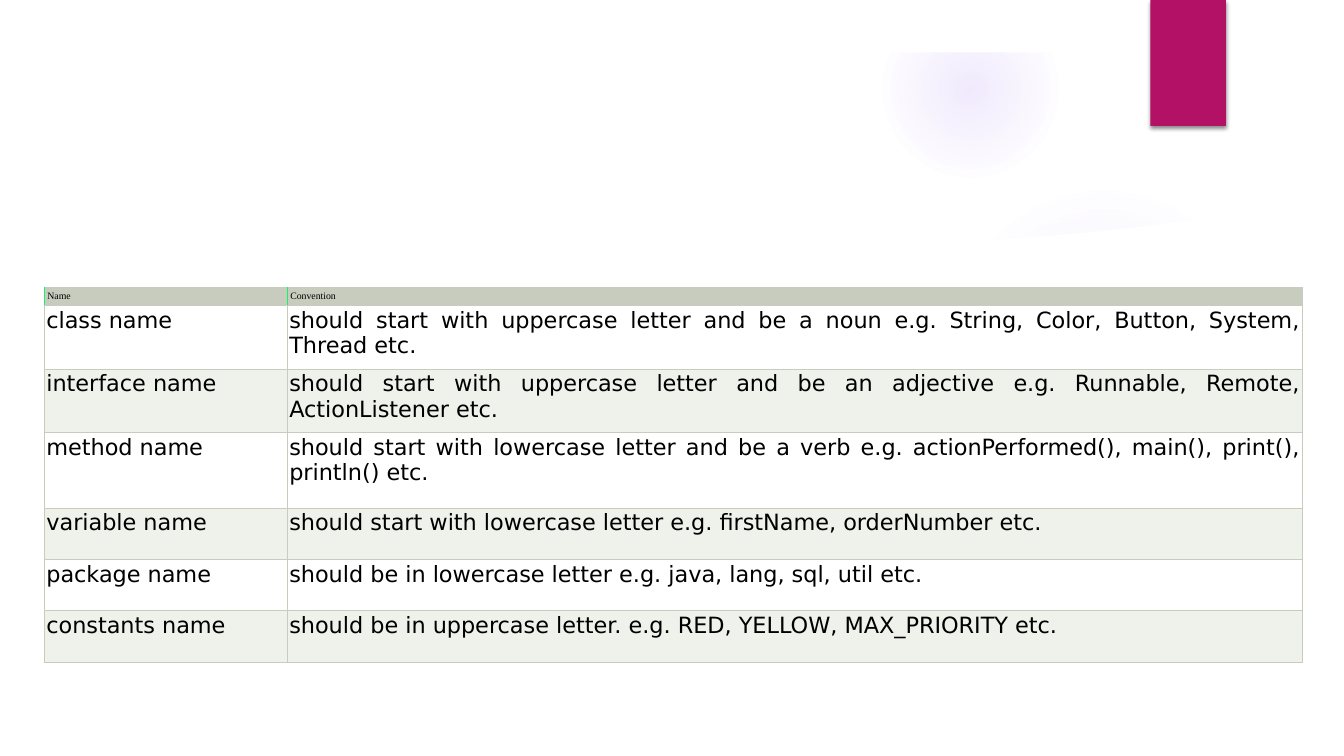
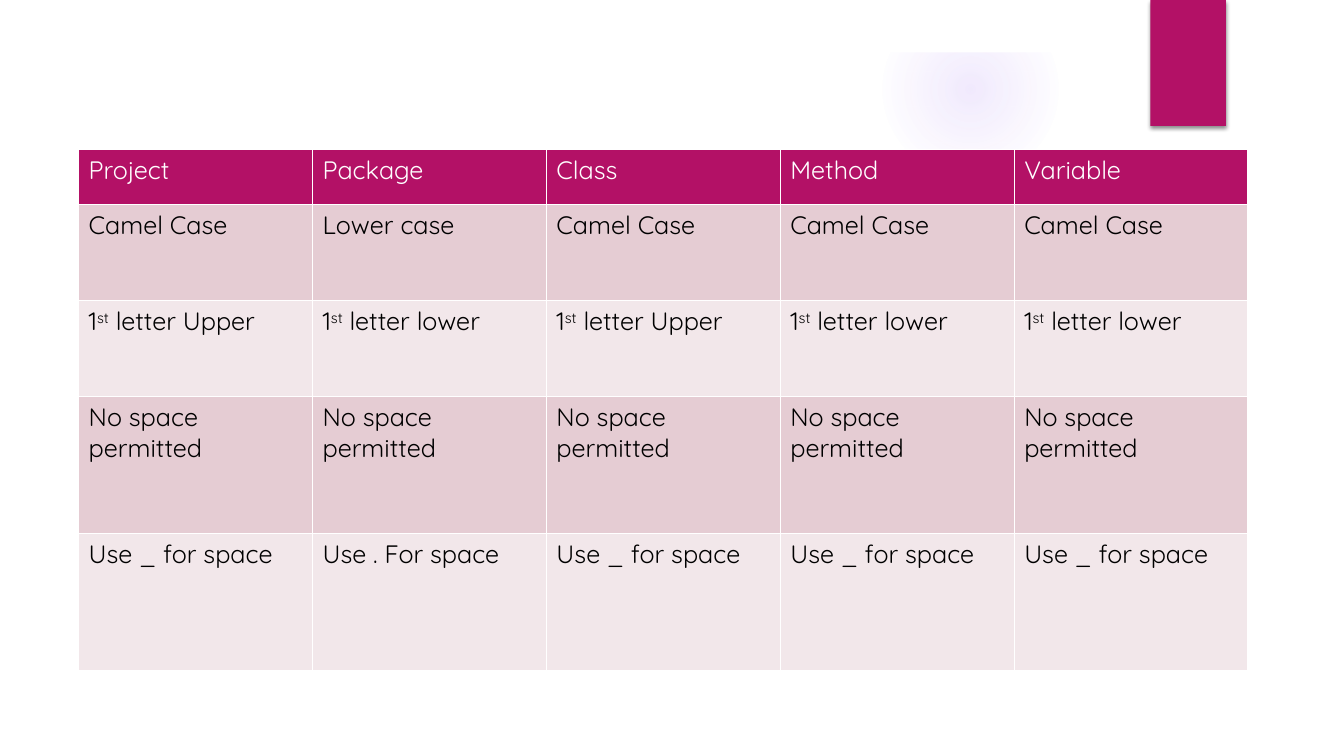
from lxml import etree
from pptx import Presentation
from pptx import util as u
from pptx.dml.color import RGBColor
from pptx.enum import shapes, text
from pptx.oxml import parse_xml
from pptx.oxml.ns import qn

WIDE, HIGH, EDGE = 13.33, 7.5, 0.52
WHITE, BLACK, PINK, GLOW = "FFFFFF", "000000", "B31166", "9B6BF2"
ROSE, BLUSH = "E5CCD3", "F2E7EA"
SAGE, MIST, GREEN = "C7CCBE", "EFF1EB", "18EF6B"
NS = 'xmlns:a="http://schemas.openxmlformats.org/drawingml/2006/main"'

WAVE = [(0.5, 2.04), (1.59, 2.18), (2.83, 2.3), (4.01, 2.38), (5.35, 2.45),
        (6.82, 2.48), (8.13, 2.46), (9.21, 2.42), (10.04, 2.37),
        (10.88, 2.3), (11.72, 2.2), (12.28, 2.13), (12.84, 2.04),
        (12.84, 7), (0.5, 7)]
VEIL = [(9.34, 2.5), (10.5, 2.45), (11.7, 2.32), (12.89, 2.14),
        (12.83, 1.66), (12.13, 1.88), (11.32, 2.09), (10.31, 2.29),
        (9.3, 2.43)]

RULES = [
    ("Name", "Convention"),
    ("class name", "should start with uppercase letter and be a noun e.g. "
     "String, Color, Button, System, Thread etc."),
    ("interface name", "should start with uppercase letter and be an "
     "adjective e.g. Runnable, Remote, ActionListener etc."),
    ("method name", "should start with lowercase letter and be a verb e.g. "
     "actionPerformed(), main(), print(), println() etc."),
    ("variable name", "should start with lowercase letter e.g. firstName, "
     "orderNumber etc."),
    ("package name", "should be in lowercase letter e.g. java, lang, sql, "
     "util etc."),
    ("constants name", "should be in uppercase letter. e.g. RED, YELLOW, "
     "MAX_PRIORITY etc."),
]
UPPER, LOWER = "1^st^ letter Upper", "1^st^ letter lower"
SPACE = "Use _ for space"
CASES = [
    ("Project", "Package", "Class", "Method", "Variable"),
    ("Camel Case", "Lower case", "Camel Case", "Camel Case", "Camel Case"),
    (UPPER, LOWER, UPPER, LOWER, LOWER),
    ("No space permitted",) * 5,
    (SPACE, "Use . For space", SPACE, SPACE, SPACE),
]


def paint(fill, tone):
    fill.solid()
    fill.fore_color.rgb = RGBColor.from_string(tone)


def plain(shape, tone):
    shape.shadow.inherit = False
    shape.line.fill.background()
    paint(shape.fill, tone)
    return shape


def preset(slide, kind, box, tone):
    return plain(slide.shapes.add_shape(kind, *map(u.Inches, box)), tone)


def outline(slide, points, tone):
    spots = [(u.Inches(x), u.Inches(y)) for x, y in points]
    pen = slide.shapes.build_freeform(*spots[0], scale=1.0)
    pen.add_line_segments(spots[1:], close=True)
    return plain(pen.convert_to_shape(), tone)


def glow(slide, left, top, size, stops):
    disc = preset(slide, shapes.MSO_SHAPE.OVAL, (left, top, size, size), GLOW)
    marks = "".join(
        f'<a:gs pos="{at * 1000}"><a:srgbClr val="{GLOW}">'
        f'<a:alpha val="{alpha * 1000}"/></a:srgbClr></a:gs>'
        for at, alpha in stops)
    grad = parse_xml(
        f'<a:gradFill {NS}><a:gsLst>{marks}</a:gsLst><a:path path="circle">'
        '<a:fillToRect l="50000" t="50000" r="50000" b="50000"/>'
        '</a:path></a:gradFill>')
    props = disc.element.spPr
    props.replace(props.find(qn("a:solidFill")), grad)
    return disc


def fade(shape, alpha):
    tone = shape.element.spPr.find(qn("a:solidFill"))[0]
    etree.SubElement(tone, qn("a:alpha")).set("val", str(alpha * 1000))
    return shape


def shade(shape):
    shape.element.spPr.find(qn("a:effectLst")).append(parse_xml(
        f'<a:outerShdw {NS} blurRad="{u.Pt(3)}" dist="{u.Pt(2)}" '
        f'dir="5400000" rotWithShape="0"><a:srgbClr val="{BLACK}">'
        '<a:alpha val="45000"/></a:srgbClr></a:outerShdw>'))
    return shape


def backdrop(slide, layout):
    kinds = shapes.MSO_SHAPE
    frame = preset(slide, kinds.FRAME, (0, 0, WIDE, HIGH), WHITE)
    frame.adjustments[0] = EDGE / HIGH
    parts = [
        glow(slide, 9.41, 1.83, 3.08, [(0, 7), (36, 6), (69, 0)]),
        glow(slide, 8.75, 0.01, 1.75, [(0, 14), (36, 7), (73, 0)]),
        fade(outline(slide, VEIL, WHITE), 20),
        outline(slide, WAVE, WHITE),
        frame,
        shade(preset(slide, kinds.RECTANGLE, (11.41, 0, 0.75, 1.25), PINK)),
    ]
    for part in parts:
        layout.element.cSld.spTree.append(part.element)


def border(cell, tone, width, left=None):
    props = cell._tc.get_or_add_tcPr()
    for side in "LRTB":
        hue = left if left and side == "L" else tone
        props.append(parse_xml(
            f'<a:ln{side} {NS} w="{u.Pt(width)}"><a:solidFill>'
            f'<a:srgbClr val="{hue}"/></a:solidFill></a:ln{side}>'))


def write(cell, words, face, size, tone, align):
    para = cell.text_frame.paragraphs[0]
    for spot, piece in enumerate(words.split("^")):
        run = para.add_run()
        run.text = piece
        if spot % 2:
            run._r.get_or_add_rPr().set("baseline", "30000")
    para.alignment = align
    para.font.name = face
    para.font.size = u.Pt(size)
    para.font.color.rgb = RGBColor.from_string(tone)


def inset(cell, gap):
    cell.margin_left = cell.margin_right = u.Inches(gap)
    cell.margin_top = cell.margin_bottom = u.Inches(gap)


def grid(slide, left, top, cols, rows, data, style):
    box = map(u.Inches, (left, top, sum(cols), sum(rows)))
    table = slide.shapes.add_table(len(rows), len(cols), *box).table
    table.first_row = table.horz_banding = False
    for col, width in zip(table.columns, cols):
        col.width = u.Inches(width)
    for row, height in zip(table.rows, rows):
        row.height = u.Inches(height)
    for r, line in enumerate(data):
        for c, words in enumerate(line):
            style(table.cell(r, c), r, words)


def rule(cell, row, words):
    head = row == 0
    border(cell, SAGE, 0.5, GREEN if head else None)
    paint(cell.fill, SAGE if head else (MIST, WHITE)[row % 2])
    inset(cell, 0.03 if head else 0.02)
    if head:
        write(cell, words, "Times New Roman", 7, BLACK, text.PP_ALIGN.LEFT)
    else:
        write(cell, words, "DejaVu Sans", 16, BLACK, text.PP_ALIGN.JUSTIFY)


def case(cell, row, words):
    head = row == 0
    border(cell, WHITE, 1)
    paint(cell.fill, PINK if head else (BLUSH, ROSE)[row % 2])
    write(cell, words, "Quicksand", 18, WHITE if head else BLACK,
          text.PP_ALIGN.LEFT)


def main():
    deck = Presentation()
    deck.slide_width, deck.slide_height = u.Inches(WIDE), u.Inches(HIGH)
    layout = deck.slide_layouts[6]
    names, styles = [deck.slides.add_slide(layout) for _ in range(2)]
    backdrop(names, layout)
    grid(names, 0.44, 2.85, [2.41, 10.07],
         [0.18, 0.63, 0.63, 0.75] + [0.51] * 3, RULES, rule)
    grid(styles, 0.78, 1.48, [2.32] * 5,
         [0.55, 0.95, 0.95, 1.36, 1.36], CASES, case)
    deck.save("out.pptx")


if __name__ == "__main__":
    main()
